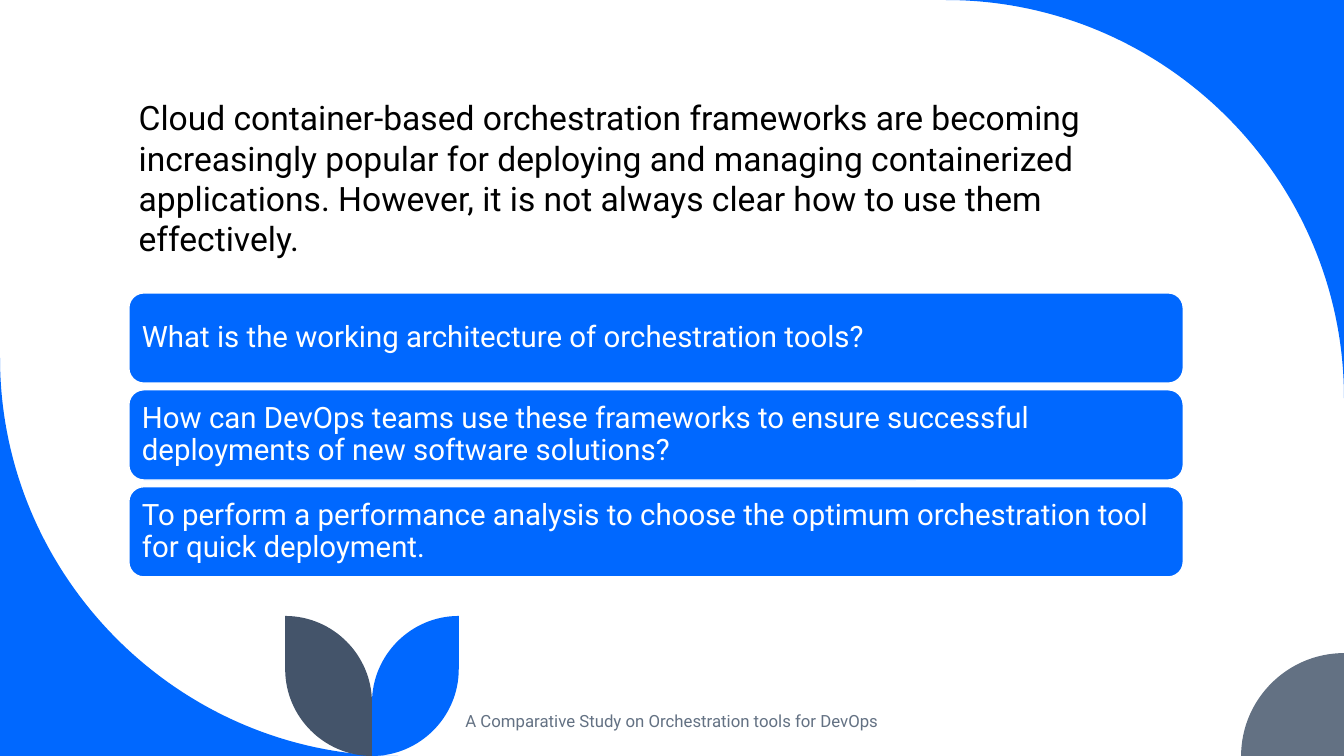
from dataclasses import dataclass

from lxml import etree
from pptx import Presentation
from pptx.dml.color import RGBColor
from pptx.enum.shapes import MSO_SHAPE
from pptx.enum.text import MSO_ANCHOR, PP_ALIGN
from pptx.oxml.ns import qn
from pptx.util import Pt

ROUNDED = MSO_SHAPE.ROUNDED_RECTANGLE
TOP, MIDDLE = MSO_ANCHOR.TOP, MSO_ANCHOR.MIDDLE
LEFT, CENTER = PP_ALIGN.LEFT, PP_ALIGN.CENTER
BLANK_LAYOUT = 6
WIDTH, HEIGHT = 960, 540
ARC_RATIO = 0.55


@dataclass(frozen=True)
class Theme:
    """Colours, font and type sizes of the slide."""
    blue: RGBColor = RGBColor(0x00, 0x68, 0xFF)
    slate: RGBColor = RGBColor(0x44, 0x54, 0x6A)
    gray: RGBColor = RGBColor(0x63, 0x71, 0x83)
    black: RGBColor = RGBColor(0x00, 0x00, 0x00)
    white: RGBColor = RGBColor(0xFF, 0xFF, 0xFF)
    font: str = "Roboto"
    intro_size: int = 24
    question_size: int = 21
    footer_size: int = 12


THEME = Theme()
INTRO = ("Cloud container-based orchestration frameworks are becoming increasingly "
         "popular for deploying and managing containerized applications. However, "
         "it is not always clear how to use them effectively.")
QUESTIONS = (
    "What is the working architecture of orchestration tools?",
    "How can DevOps teams use these frameworks to ensure successful "
    "deployments of new software solutions?",
    "To perform a performance analysis to choose the optimum orchestration "
    "tool for quick deployment.",
)
FOOTER = "A Comparative Study on Orchestration tools for DevOps"


def quarter(start, corner, end):
    """Return the two control points and the end of a quarter arc."""
    controls = [tuple(p + ARC_RATIO * (c - p) for p, c in zip(point, corner))
                for point in (start, end)]
    return [*controls, end]


def add_outline(slide, start, segments, color):
    """Draw a filled outline; a segment of three points is a Bezier curve."""
    points = [(Pt(x), Pt(y)) for segment in segments for x, y in segment]
    builder = slide.shapes.build_freeform(Pt(start[0]), Pt(start[1]))
    builder.add_line_segments(points, close=True)
    shape = builder.convert_to_shape()
    lines = iter(list(shape.element.iter(qn("a:lnTo"))))
    for segment in segments:
        steps = [next(lines) for _ in segment]
        if len(steps) == 3:
            curve = etree.Element(qn("a:cubicBezTo"))
            steps[0].addprevious(curve)
            for step in steps:
                curve.append(step[0])
                step.getparent().remove(step)
    shape.shadow.inherit = False
    shape.fill.solid()
    shape.fill.fore_color.rgb = color
    shape.line.fill.background()


def add_leaf(slide, stem_x, direction, color):
    """Draw a leaf that grows from the stem to the right (1) or left (-1)."""
    width, top = 62, 440
    edge_x = stem_x + direction * width
    tip, base = (edge_x, top), (stem_x, HEIGHT)
    edge, stem = (edge_x, HEIGHT - width), (stem_x, top + width)
    segments = [[edge], quarter(edge, (edge_x, HEIGHT), base),
                [stem], quarter(stem, (stem_x, top), tip)]
    add_outline(slide, tip, segments, color)


def add_corner(slide, corner, start, bend, end, color):
    """Fill a slide corner up to a quarter arc that bends towards a point."""
    add_outline(slide, corner, [[start], quarter(start, bend, end)], color)


def add_decoration(slide):
    """Draw the curved corners and the two leaves."""
    radius, disc, stem_x = 284.4, 73.5, 265.7
    top_right, bottom_left = (WIDTH, 0), (0, HEIGHT)
    add_corner(slide, top_right, (WIDTH, radius), top_right, (WIDTH - radius, 0),
               THEME.blue)
    add_corner(slide, bottom_left, (0, HEIGHT - radius), bottom_left,
               (radius, HEIGHT), THEME.blue)
    add_corner(slide, (WIDTH, HEIGHT), (WIDTH, HEIGHT - disc),
               (WIDTH - disc, HEIGHT - disc), (WIDTH - disc, HEIGHT), THEME.gray)
    add_leaf(slide, stem_x, 1, THEME.blue)
    add_leaf(slide, stem_x, -1, THEME.slate)


def write_text(shape, text, size, color, align=LEFT, anchor=MIDDLE, spacing=1.0):
    """Put one formatted paragraph into a shape."""
    frame = shape.text_frame
    frame.word_wrap = True
    frame.vertical_anchor = anchor
    paragraph = frame.paragraphs[0]
    paragraph.alignment = align
    paragraph.line_spacing = spacing
    run = paragraph.add_run()
    run.text = text
    run.font.name = THEME.font
    run.font.size = Pt(size)
    run.font.color.rgb = color


def add_text(slide, box, text, size, color, **options):
    """Add a text box at left, top, width, height."""
    shape = slide.shapes.add_textbox(*map(Pt, box))
    write_text(shape, text, size, color, **options)


def add_question(slide, top, text):
    """Add a rounded bar that holds one research question."""
    shape = slide.shapes.add_shape(ROUNDED, Pt(92), Pt(top), Pt(753.2), Pt(64.5))
    shape.shadow.inherit = False
    shape.fill.solid()
    shape.fill.fore_color.rgb = THEME.blue
    shape.line.color.rgb = THEME.white
    shape.line.width = Pt(1)
    shape.text_frame.margin_left = shape.text_frame.margin_right = Pt(6.2)
    write_text(shape, text, THEME.question_size, THEME.white, spacing=0.9)


def main():
    """Build and save the slide."""
    presentation = Presentation()
    presentation.slide_width, presentation.slide_height = Pt(WIDTH), Pt(HEIGHT)
    slide = presentation.slides.add_slide(presentation.slide_layouts[BLANK_LAYOUT])
    add_decoration(slide)
    add_text(slide, (318, 500.5, 324, 29), FOOTER, THEME.footer_size, THEME.gray,
             align=CENTER)
    for index, question in enumerate(QUESTIONS):
        add_question(slide, 209.2 + 69.2 * index, question)
    add_text(slide, (92, 66, 742, 124), INTRO, THEME.intro_size, THEME.black,
             anchor=TOP)
    presentation.save("out.pptx")


if __name__ == "__main__":
    main()
